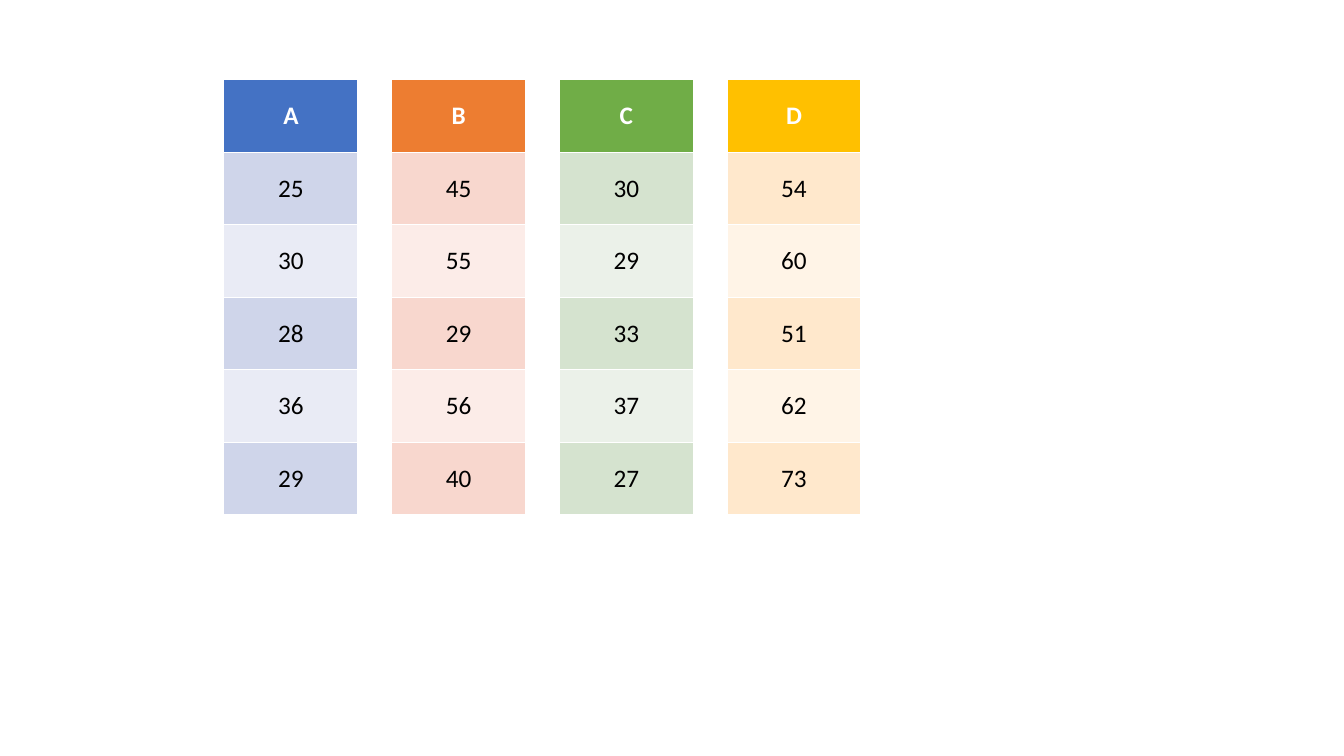
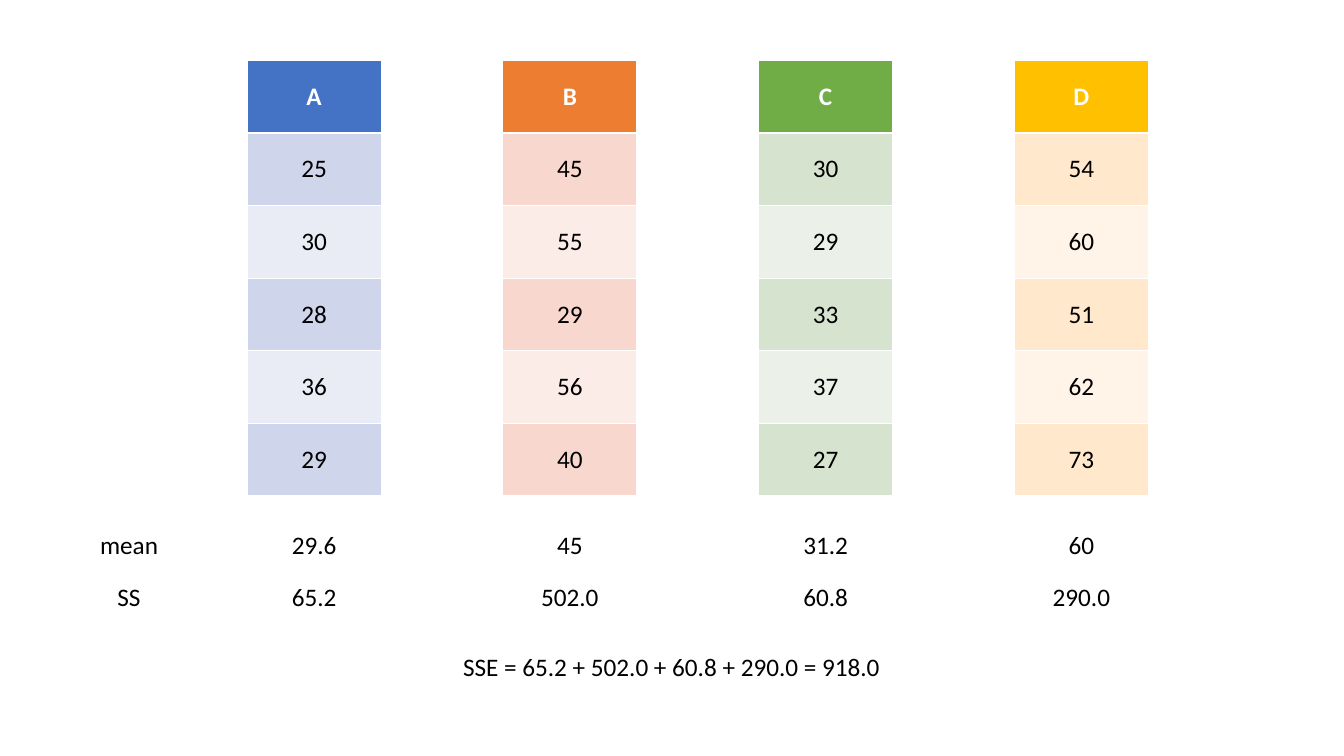
from pptx import Presentation
from pptx.dml.color import RGBColor as RGB
from pptx.enum.text import MSO_ANCHOR as Anchor, MSO_AUTO_SIZE as Fit, PP_ALIGN as Align
from pptx.util import Inches, Pt

# Shared colours and type
WHITE, BLACK = RGB(255, 255, 255), RGB(0, 0, 0)
FONT, SIZE = "Calibri", Pt(18)

# Groups: name, values, head colour, dark band, light band
GROUPS = [
    ("A", [25, 30, 28, 36, 29], RGB(0x44, 0x72, 0xC4), RGB(0xCF, 0xD5, 0xEA), RGB(0xE9, 0xEB, 0xF5)),
    ("B", [45, 55, 29, 56, 40], RGB(0xED, 0x7D, 0x31), RGB(0xF8, 0xD7, 0xCE), RGB(0xFC, 0xEC, 0xE8)),
    ("C", [30, 29, 33, 37, 27], RGB(0x70, 0xAD, 0x47), RGB(0xD5, 0xE3, 0xCF), RGB(0xEB, 0xF1, 0xE9)),
    ("D", [54, 60, 51, 62, 73], RGB(0xFF, 0xC0, 0x00), RGB(0xFF, 0xE8, 0xCC), RGB(0xFF, 0xF4, 0xE7)),
]

# Statistics: label, label width, top, one figure per group
STATS = [
    ("mean", 0.78, 5.2, ["29.6", "45", "31.2", "60"]),
    ("SS", 0.43, 5.72, ["65.2", "502.0", "60.8", "290.0"]),
]
SUM = "SSE = 65.2 + 502.0 + 60.8 + 290.0 = 918.0"

# Grid in inches: left edge, top edge, column step
PLAIN = (2.22, 0.79, 4.99 / 3)
WIDE = (2.45, 0.6, 7.61 / 3)
COL, ROW = 1.33, 0.72
LABEL_MID, SUM_MID = 1.28, 6.66


def write(para, text, color=BLACK, bold=False):
    para.alignment = Align.CENTER
    run = para.add_run()
    run.text = text
    font = run.font
    font.name, font.size, font.bold = FONT, SIZE, bold
    font.color.rgb = color


def add_group(slide, left, top, group):
    name, values, head, dark, light = group
    count = len(values) + 1
    frame = slide.shapes.add_table(count, 1, Inches(left), Inches(top),
                                   Inches(COL), Inches(ROW * count))
    for i, item in enumerate([name] + values):
        cell = frame.table.cell(i, 0)
        cell.vertical_anchor = Anchor.MIDDLE
        cell.fill.solid()
        cell.fill.fore_color.rgb = head if i == 0 else dark if i % 2 else light
        write(cell.text_frame.paragraphs[0], str(item),
              BLACK if i else WHITE, i == 0)


def add_groups(slide, grid):
    left, top, step = grid
    for i, group in enumerate(GROUPS):
        add_group(slide, left + i * step, top, group)


def add_text(slide, mid, top, width, text):
    box = slide.shapes.add_textbox(Inches(mid - width / 2), Inches(top),
                                   Inches(width), Inches(0.4))
    frame = box.text_frame
    frame.word_wrap = False
    frame.auto_size = Fit.SHAPE_TO_FIT_TEXT
    write(frame.paragraphs[0], text)


def num_width(text):
    dots = text.count(".")
    return 0.2 + 0.13 * (len(text) - dots) + 0.06 * dots


deck = Presentation()
deck.slide_width, deck.slide_height = Inches(13.33), Inches(7.5)
blank = deck.slide_layouts[6]

# Slide 1: the four groups
add_groups(deck.slides.add_slide(blank), PLAIN)

# Slide 2: the groups with their statistics
slide = deck.slides.add_slide(blank)
add_groups(slide, WIDE)
left, _, step = WIDE
for label, width, top, figures in STATS:
    add_text(slide, LABEL_MID, top, width, label)
    for i, fig in enumerate(figures):
        add_text(slide, left + COL / 2 + i * step, top, num_width(fig), fig)
add_text(slide, SUM_MID, 6.41, 4.38, SUM)

deck.save("out.pptx")
